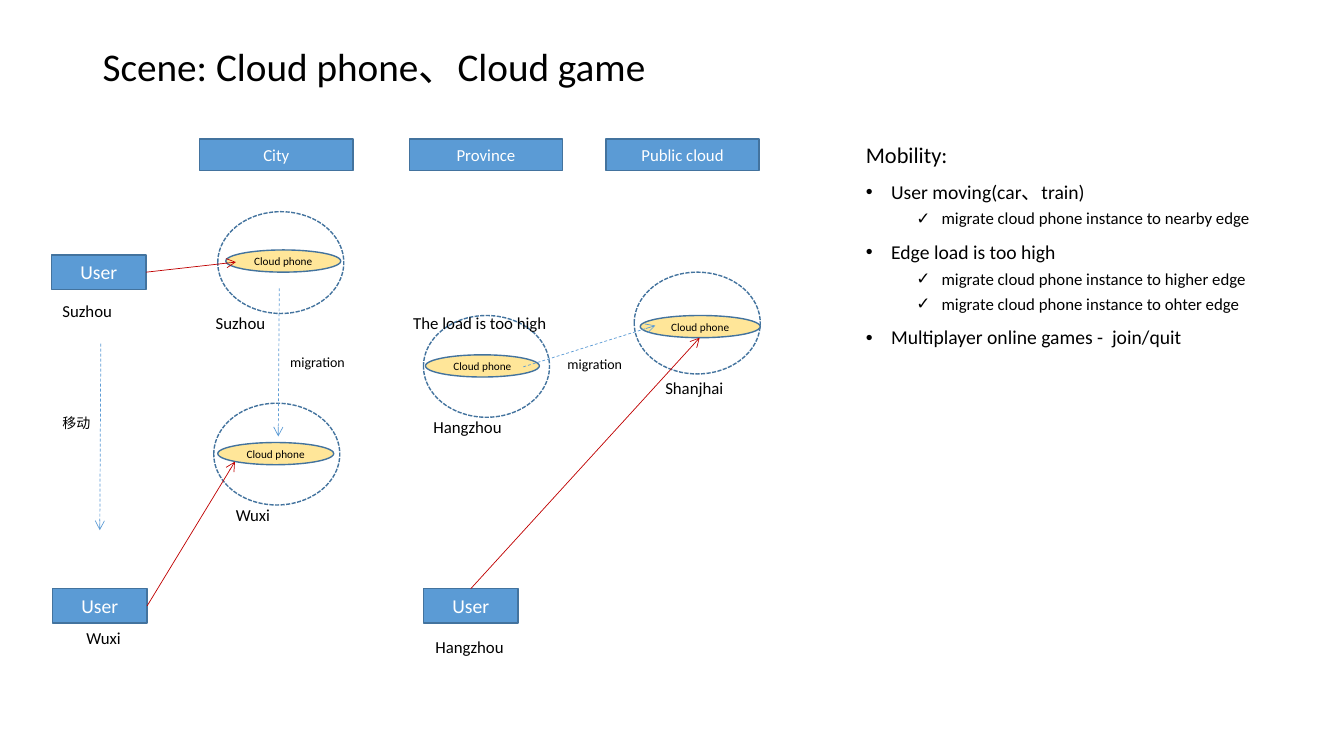
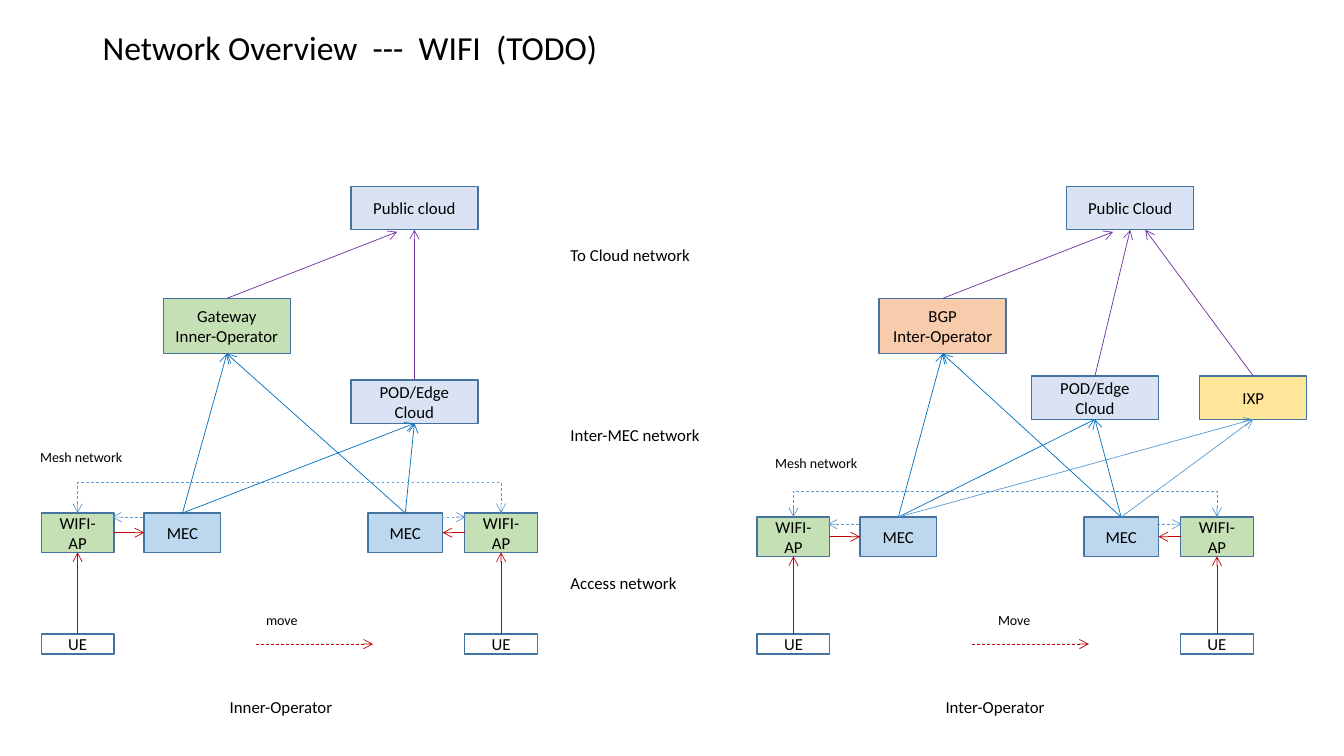
"""Build two slides: cloud phone mobility and a WIFI network overview."""
import dataclasses

import lxml.etree
import pptx
import pptx.dml.color
import pptx.enum.dml
import pptx.enum.shapes
import pptx.enum.text
import pptx.oxml.ns
import pptx.util


@dataclasses.dataclass(frozen=True)
class Theme:
    font: str = "Calibri"
    black: str = "000000"
    white: str = "FFFFFF"
    blue: str = "5B9BD5"
    edge: str = "43739E"
    deep_blue: str = "0070C0"
    red: str = "C00000"
    purple: str = "7030A0"
    yellow: str = "FFE699"
    green: str = "C5E0B4"
    orange: str = "F8CBAD"
    pale: str = "DAE3F3"
    sky: str = "BDD7EE"
    heading: int = 16
    large: int = 14
    normal: int = 12
    small: int = 10
    tiny: int = 8
    outline: float = 1
    arrow: float = 0.5


theme = Theme()
rgb = pptx.dml.color.RGBColor.from_string
qn = pptx.oxml.ns.qn
Pt = pptx.util.Pt
Align = pptx.enum.text.PP_ALIGN
Anchor = pptx.enum.text.MSO_ANCHOR
AutoSize = pptx.enum.text.MSO_AUTO_SIZE
Dash = pptx.enum.dml.MSO_LINE
RECT = pptx.enum.shapes.MSO_SHAPE.RECTANGLE
OVAL = pptx.enum.shapes.MSO_SHAPE.OVAL
TOP, LEFT, BOTTOM, RIGHT = range(4)

deck = pptx.Presentation()
deck.slide_width = pptx.util.Inches(13.33)
deck.slide_height = pptx.util.Inches(7.5)
COLUMN = deck.slide_width / 1333
ROW = deck.slide_height / 750


def place(page, area, text, size=theme.normal, ink=theme.black, kind=None, fill=None, dash=None):
    """Add a text box, or an outlined shape of the given kind, at a grid area."""
    spot = [round(length * unit) for length, unit in zip(area, (COLUMN, ROW, COLUMN, ROW))]
    if kind is None:
        box = page.shapes.add_textbox(*spot)
        frame_format = {"word_wrap": True, "auto_size": AutoSize.SHAPE_TO_FIT_TEXT}
        alignment = Align.LEFT
    else:
        box = page.shapes.add_shape(kind, *spot)
        frame_format = {"word_wrap": True, "vertical_anchor": Anchor.MIDDLE}
        alignment = Align.CENTER
        box.shadow.inherit = False
        box.line.color.rgb = rgb(theme.edge)
        box.line.width = Pt(theme.outline)
        if dash:
            box.line.dash_style = dash
        if fill:
            box.fill.solid()
            box.fill.fore_color.rgb = rgb(fill)
        else:
            box.fill.background()
    for name, value in frame_format.items():
        setattr(box.text_frame, name, value)
    box.text_frame.text = text
    for para in box.text_frame.paragraphs:
        para.alignment = alignment
        for span in para.runs:
            for name, value in {"name": theme.font, "size": Pt(size)}.items():
                setattr(span.font, name, value)
            span.font.color.rgb = rgb(ink)
    return box


def link(page, stops, ink, dash=None, heads=("tailEnd",)):
    """Draw an arrow through stops, each a grid point or a (box, side) pair."""
    points = []
    for first, second in stops:
        if isinstance(first, (int, float)):
            points.append((round(first * COLUMN), round(second * ROW)))
        else:
            across, down = ((0.5, 0), (0, 0.5), (0.5, 1), (1, 0.5))[second]
            points.append((round(first.left + across * first.width),
                           round(first.top + down * first.height)))
    if len(points) == 2:
        arrow = page.shapes.add_connector(
            pptx.enum.shapes.MSO_CONNECTOR.STRAIGHT, *points[0], *points[1])
        for (box, side), join in zip(stops, (arrow.begin_connect, arrow.end_connect)):
            if not isinstance(box, (int, float)):
                join(box, side)
    else:
        outline = page.shapes.build_freeform(*points[0])
        outline.add_line_segments(points[1:], close=False)
        arrow = outline.convert_to_shape()
        arrow.fill.background()
    arrow.line.color.rgb = rgb(ink)
    arrow.line.width = Pt(theme.arrow)
    if dash:
        arrow.line.dash_style = dash
    properties = arrow.element.spPr
    for head in heads:
        lxml.etree.SubElement(properties.find(qn("a:ln")), qn("a:" + head), type="arrow")
    lxml.etree.SubElement(properties, qn("a:effectLst"))


pages = []
for heading, size, row in (("Scene: Cloud phone、Cloud game", 28, 40),
                           ("Network Overview  ---  WIFI  (TODO)", 24, 21)):
    page = deck.slides.add_slide(deck.slide_layouts[6])
    title = place(page, (92, row, 1150, 56), heading, size)
    for name, value in {"auto_size": AutoSize.NONE, "vertical_anchor": Anchor.MIDDLE}.items():
        setattr(title.text_frame, name, value)
    title.text_frame.paragraphs[0].line_spacing = 0.9
    pages.append(page)
scene, network = pages

for column, tier in ((198, "City"), (406, "Province"), (601, "Public cloud")):
    place(scene, (column, 138, 152, 31), tier, ink=theme.white, kind=RECT, fill=theme.blue)

for column, row in ((216, 210), (212, 400), (420, 313), (629, 270)):
    place(scene, (column, row, 125, 101), "", kind=OVAL, dash=Dash.SQUARE_DOT)

for column, row, width in ((224, 248, 114), (216, 439, 115), (422, 352, 113), (635, 313, 119)):
    place(scene, (column, row, width, 22), "Cloud phone", theme.tiny, kind=OVAL, fill=theme.yellow)

suzhou_user, wuxi_user, hangzhou_user = [
    place(scene, (column, row, 94, 34), "User", theme.large, theme.white, RECT, theme.blue)
    for column, row in ((51, 253), (52, 584), (420, 584))]

for column, row, width, label in (
        (52, 293, 74, "Suzhou"), (204, 305, 74, "Suzhou"), (224, 496, 136, "Wuxi"),
        (76, 618, 76, "Wuxi"), (420, 409, 113, "Hangzhou"), (422, 627, 113, "Hangzhou"),
        (650, 370, 113, "Shanjhai"), (400, 305, 158, "The load is too high")):
    place(scene, (column, row, width, 30), label)

for column, row, label in ((52, 406, "移动"), (278, 346, "migration"), (553, 348, "migration")):
    place(scene, (column, row, 82, 27), label, theme.small)

for stops in (((100, 341), (99, 526)), ((277, 286), (276, 433)), ((519, 364), (650, 323))):
    link(scene, stops, theme.blue, Dash.DASH)

for user, side, target in ((suzhou_user, RIGHT, (234, 260)), (wuxi_user, RIGHT, (233, 458)),
                           (hangzhou_user, TOP, (694, 335))):
    link(scene, ((user, side), target), theme.red)

levels = {
    "head": {"size": theme.heading, "before": 10, "margin": 0, "bullet": None},
    "topic": {"size": theme.large, "before": 10, "margin": 0.25, "bullet": "•"},
    "detail": {"size": theme.normal, "before": 5, "margin": 0.75, "bullet": "✓"},
}
points = (
    ("head", "Mobility:"),
    ("topic", "User moving(car、train)"),
    ("detail", "migrate cloud phone instance to nearby edge"),
    ("topic", "Edge load is too high"),
    ("detail", "migrate cloud phone instance to higher edge"),
    ("detail", "migrate cloud phone instance to ohter edge"),
    ("topic", "Multiplayer online games -  join/quit"),
)
mobility = place(scene, (849, 138, 430, 537), "\n".join(text for _, text in points))
mobility.text_frame.auto_size = AutoSize.NONE
for para, (level, _) in zip(mobility.text_frame.paragraphs, points):
    style = levels[level]
    for name, value in {"line_spacing": 0.9, "space_before": Pt(style["before"])}.items():
        setattr(para, name, value)
    para.runs[0].font.size = Pt(style["size"])
    if style["bullet"]:
        properties = para.runs[0].font and para._p.get_or_add_pPr()
        properties.set("marL", str(pptx.util.Inches(style["margin"])))
        properties.set("indent", str(-pptx.util.Inches(0.25)))
        lxml.etree.SubElement(properties, qn("a:buFont"), typeface="Arial")
        lxml.etree.SubElement(properties, qn("a:buChar"), char=style["bullet"])

halves = (
    {"shift": 0, "access": 509, "pod": (348, 377), "cloud": "Public cloud",
     "gateway": "Gateway\nInner-Operator", "tint": theme.green, "name": "Inner-Operator",
     "move": (254, "move"), "mesh": (30, 440), "crest": 479, "back": 513},
    {"shift": 710, "access": 513, "pod": (1023, 373), "cloud": "Public Cloud",
     "gateway": "BGP\nInter-Operator", "tint": theme.orange, "name": "Inter-Operator",
     "move": (980, "Move"), "mesh": (759, 446), "crest": 487, "back": 520},
)
for half in halves:
    shift, access = half["shift"], half["access"]
    cloud = place(network, (348 + shift, 185, 126, 43), half["cloud"], kind=RECT, fill=theme.pale)
    gateway = place(network, (162 + shift, 296, 126, 55), half["gateway"],
                    kind=RECT, fill=half["tint"])
    pod = place(network, (*half["pod"], 126, 43), "POD/Edge\nCloud", kind=RECT, fill=theme.pale)
    uplinks = [(gateway, theme.deep_blue), (pod, theme.deep_blue)]
    link(network, ((pod, TOP), (cloud, BOTTOM)), theme.purple)
    link(network, ((gateway, TOP), (394 + shift, 230)), theme.purple)
    if half is halves[-1]:
        exchange = place(network, (1190, 373, 106, 43), "IXP", kind=RECT, fill=theme.yellow)
        link(network, ((exchange, TOP), (1136, 228)), theme.purple)
        uplinks.append((exchange, theme.blue))

    access_points = []
    for ap_column, mec_column, mec_width, ap_side, mec_side, back in (
            (41, 143, 76, RIGHT, LEFT, (142, 111)), (461, 365, 74, LEFT, RIGHT, (438, 462))):
        wifi = place(network, (ap_column + shift, access, 72, 39), "WIFI-AP",
                     kind=RECT, fill=theme.green)
        mec = place(network, (mec_column + shift, access, mec_width, 39), "MEC",
                    kind=RECT, fill=theme.sky)
        device = place(network, (ap_column + shift, 629, 72, 20), "UE", kind=RECT)
        link(network, ((device, TOP), (wifi, BOTTOM)), theme.red)
        link(network, ((wifi, ap_side), (mec, mec_side)), theme.red)
        link(network, [(column + shift, half["back"]) for column in back], theme.blue, Dash.DASH)
        for target, ink in uplinks:
            link(network, ((mec, TOP), (target, BOTTOM)), ink)
        access_points.append(wifi)

    first, last = access_points
    link(network, ((first, TOP), (77 + shift, half["crest"]), (497 + shift, half["crest"]),
                   (last, TOP)), theme.blue, Dash.DASH, ("headEnd", "tailEnd"))
    link(network, ((254 + shift, 639), (370 + shift, 639)), theme.red, Dash.DASH)
    move_column, move_label = half["move"]
    place(network, (move_column, 602, 68, 27), move_label, theme.small)
    place(network, (*half["mesh"], 113, 27), "Mesh network", theme.small)
    place(network, (218 + shift, 686, 176, 30), half["name"])

for row, width, height, label in ((238, 148, 30, "To Cloud network"),
                                  (416, 160, 30, "Inter-MEC network"),
                                  (563, 125, 50, "Access network")):
    place(network, (556, row, width, height), label)

deck.save("out.pptx")
